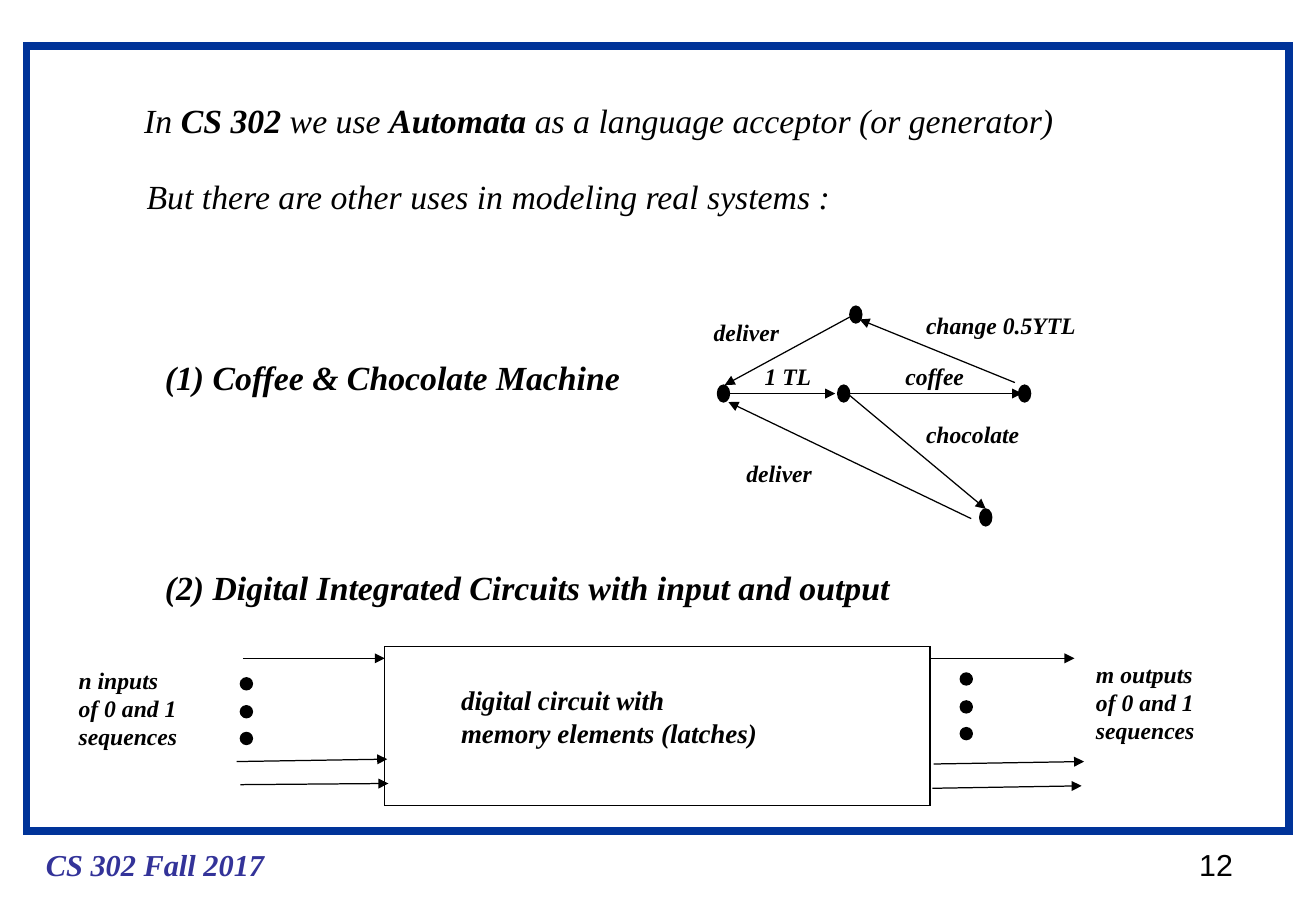
from pptx import Presentation
from pptx.dml.color import RGBColor
from pptx.enum.shapes import MSO_CONNECTOR, MSO_SHAPE
from pptx.oxml import parse_xml
from pptx.oxml.ns import nsdecls
from pptx.util import Inches, Pt

RECTANGLE, ELLIPSE = MSO_SHAPE.RECTANGLE, MSO_SHAPE.OVAL
STRAIGHT = MSO_CONNECTOR.STRAIGHT
COLORS = {"ink": "000000", "paper": "FFFFFF", "frame": "003399", "course": "333399"}
SERIF, SANS = "Times New Roman", "Arial"
BODY, CAPTION, LABEL, FOOTER = 20, 16, 14, 18


def color(name):
    return RGBColor.from_string(COLORS[name])


def add_text(slide, box, lines, size, font=SERIF, ink="ink", bold=True, italic=True):
    """Each line is a string or a list of (text, bold) runs."""
    frame = slide.shapes.add_textbox(*map(Inches, box)).text_frame
    frame.word_wrap = True
    for index, line in enumerate(lines):
        paragraph = frame.paragraphs[0] if index == 0 else frame.add_paragraph()
        for text, heavy in [(line, bold)] if isinstance(line, str) else line:
            run = paragraph.add_run()
            run.text = text
            run.font.name, run.font.size = font, Pt(size)
            run.font.bold, run.font.italic = heavy, italic
            run.font.color.rgb = color(ink)


def add_outline(slide, kind, box, fill=None, line="ink", weight=0.75):
    shape = slide.shapes.add_shape(kind, *map(Inches, box))
    shape.shadow.inherit = False
    if fill:
        shape.fill.solid()
        shape.fill.fore_color.rgb = color(fill)
    else:
        shape.fill.background()
    shape.line.color.rgb = color(line)
    shape.line.width = Pt(weight)
    # Square corners
    shape.line._get_or_add_ln().append(
        parse_xml(f'<a:miter {nsdecls("a")} lim="800000"/>'))


def add_arrow(slide, x1, y1, x2, y2):
    arrow = slide.shapes.add_connector(STRAIGHT, *map(Inches, (x1, y1, x2, y2)))
    arrow.line.color.rgb = color("ink")
    arrow.line.width = Pt(0.75)
    arrow.line._get_or_add_ln().append(
        parse_xml(f'<a:tailEnd {nsdecls("a")} type="triangle"/>'))
    arrow._element.spPr.append(parse_xml(f'<a:effectLst {nsdecls("a")}/>'))


def add_frame_and_footer(slide, left, top, width, height):
    add_outline(slide, RECTANGLE, (left, top, width, height), line="frame", weight=4.5)
    footer_top = top + height + 0.08
    add_text(slide, (left + 0.06, footer_top, 2.2, 0.4), ["CS 302 Fall 2017"],
             FOOTER, ink="course")
    add_text(slide, (left + width - 0.84, footer_top, 0.6, 0.4), ["12"],
             FOOTER, font=SANS, bold=False, italic=False)


def add_introduction(slide, left, top):
    acceptor = [("In ", False), ("CS 302", True), (" we use ", False),
                ("Automata ", True), ("as a language acceptor (or generator)", False)]
    add_text(slide, (left, top, 7.9, 0.44), [acceptor], BODY)
    add_text(slide, (left + 0.02, top + 0.63, 6.1, 0.44),
             ["But there are other uses in modeling real systems :"], BODY, bold=False)


def add_machine(slide, left, top):
    """Heading and state diagram of the vending machine."""
    add_text(slide, (left, top + 0.38, 4.2, 0.44),
             ["(1) Coffee & Chocolate Machine"], BODY)

    x, y = left + 4.65, top + 0.01
    states = [(0, 0.65), (0.99, 0.65), (2.48, 0.65), (2.16, 1.67), (1.09, 0)]
    for dx, dy in states:
        add_outline(slide, ELLIPSE, (x + dx, y + dy, 0.1, 0.14), fill="ink")

    transitions = [
        # arrow from and to, label text, label box
        ((0.06, 0.72, 0.97, 0.72), "1 TL", (0.29, 0.41, 0.8)),
        ((0.99, 0.72, 2.51, 0.72), "coffee", (1.45, 0.41, 0.9)),
        ((1.07, 0.72, 2.21, 1.67), "chocolate", (1.62, 0.89, 1.2)),
        ((2.09, 1.75, 0.09, 0.79), "deliver", (0.14, 1.21, 0.9)),
        ((2.45, 0.63, 1.17, 0.11), "change 0.5YTL", (1.62, -0.01, 1.7)),
        ((1.09, 0.09, 0.06, 0.65), "deliver", (-0.13, 0.05, 0.9)),
    ]
    for (x1, y1, x2, y2), event, (dx, dy, width) in transitions:
        add_arrow(slide, x + x1, y + y1, x + x2, y + y2)
        add_text(slide, (x + dx, y + dy, width, 0.34), [event], LABEL)


def add_circuit(slide, left, top, width, height):
    """Heading, circuit block and its input and output lines."""
    add_text(slide, (left - 1.91, top - 0.7, 6.4, 0.44),
             ["(2) Digital Integrated Circuits with input and output"], BODY)
    add_outline(slide, RECTANGLE, (left, top, width, height), fill="paper")
    add_text(slide, (left + 0.53, top + 0.26, 2.9, 0.64),
             ["digital circuit with", "memory elements (latches)"], CAPTION)

    right = left + width
    signals = [
        (left, [(-1.17, 0.1, 0, 0.1), (-1.22, 0.95, 0.02, 0.93),
                (-1.19, 1.14, 0.03, 1.13)]),
        (right, [(0, 0.1, 1.19, 0.1), (0.03, 0.97, 1.27, 0.95),
                 (0.02, 1.17, 1.25, 1.15)]),
    ]
    for edge, arrows in signals:
        for x1, y1, x2, y2 in arrows:
            add_arrow(slide, edge + x1, top + y1, edge + x2, top + y2)

    sides = [(left - 1.19, top + 0.26, "n inputs", left - 2.62, 0.11),
             (right + 0.25, top + 0.22, "m outputs", right + 1.27, 0.06)]
    for dots_x, dots_y, count, label_x, label_dy in sides:
        for dy in (0, 0.23, 0.45):
            add_outline(slide, ELLIPSE, (dots_x, dots_y + dy, 0.1, 0.1), fill="ink")
        add_text(slide, (label_x, top + label_dy, 1.3, 0.8),
                 [count, "of 0 and 1", "sequences"], LABEL)


def main():
    presentation = Presentation()
    presentation.slide_width, presentation.slide_height = Inches(10.84), Inches(7.5)
    slide = presentation.slides.add_slide(presentation.slide_layouts[6])
    add_frame_and_footer(slide, 0.22, 0.38, 10.4, 6.46)
    add_introduction(slide, 1.09, 0.77)
    add_machine(slide, 1.26, 2.51)
    add_circuit(slide, 3.17, 5.32, 4.49, 1.31)
    presentation.save("out.pptx")


if __name__ == "__main__":
    main()
